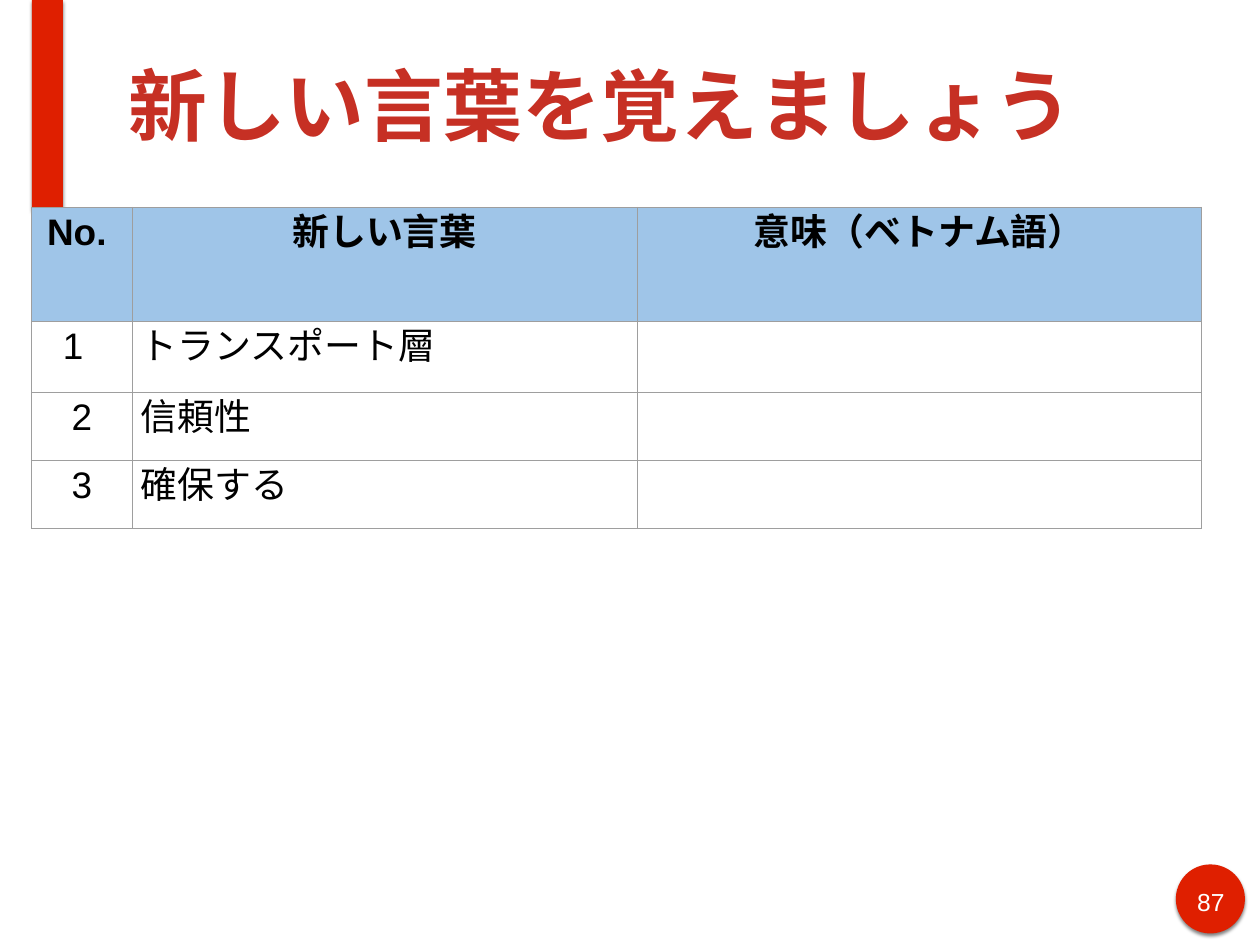
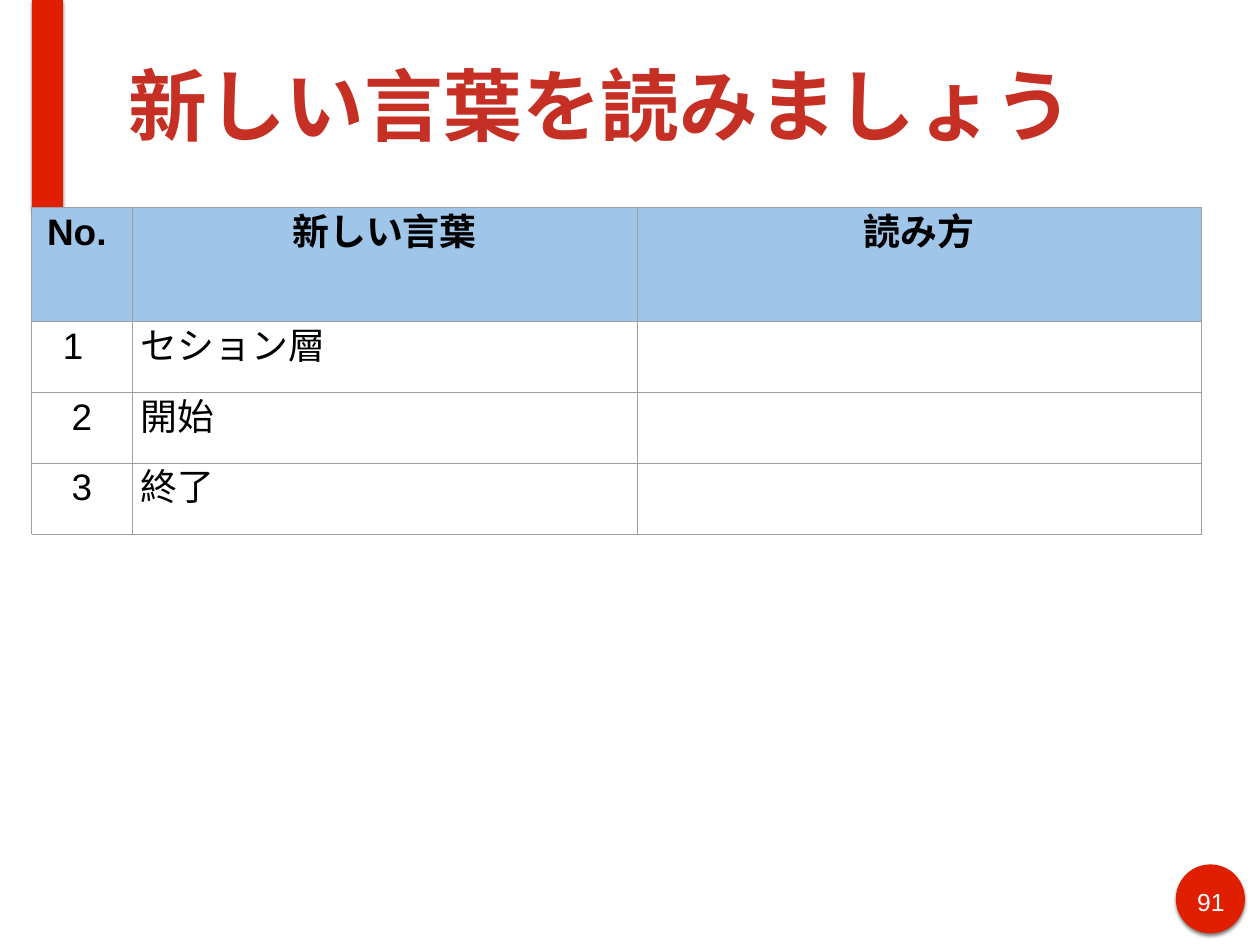
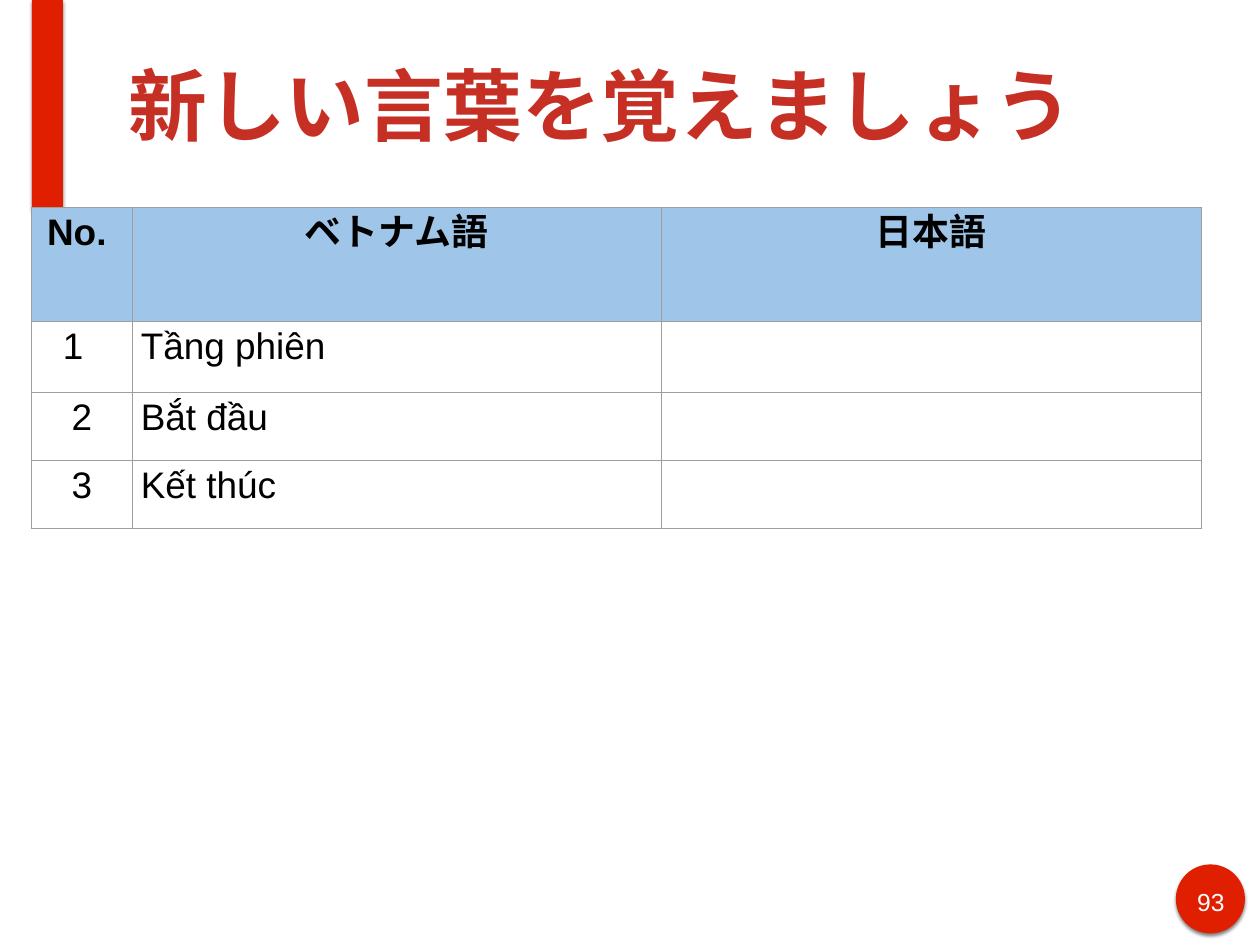
import pptx
import pptx.dml.color
import pptx.enum.shapes
import pptx.enum.text
import pptx.oxml
import pptx.oxml.ns
import pptx.util

PX = 9144  # 100 px to the inch
FONT = "Arial"
RED, TITLE_RED, HEADER_BLUE = "DF1F00", "C63024", "9FC5E8"
BLACK, WHITE, BORDER_GRAY = "000000", "FFFFFF", "9E9E9E"
NAMESPACE = pptx.oxml.ns.nsdecls("a")
LEFT = pptx.enum.text.PP_ALIGN.LEFT
CENTER = pptx.enum.text.PP_ALIGN.CENTER

SHADOW = (
    f'<a:effectLst {NAMESPACE}><a:outerShdw blurRad="38100" dist="25400" dir="5400000" rotWithShape="0">'
    f'<a:srgbClr val="{BLACK}"><a:alpha val="50000"/></a:srgbClr></a:outerShdw></a:effectLst>'
)


def rgb(color):
    return pptx.dml.color.RGBColor.from_string(color)


def write_text(text_frame, text, size=30, color=BLACK, bold=False, align=LEFT, margin=10):
    text_frame.margin_left = text_frame.margin_right = margin * PX
    text_frame.margin_top = text_frame.margin_bottom = margin * PX
    text_frame.word_wrap = True
    paragraph = text_frame.paragraphs[0]
    paragraph.alignment = align
    run = paragraph.add_run()
    run.text = text
    run.font.name = FONT
    run.font.size = pptx.util.Pt(size)
    run.font.bold = bold
    run.font.color.rgb = rgb(color)
    # East Asian text names its font separately
    run.font._element.append(pptx.oxml.parse_xml(f'<a:ea {NAMESPACE} typeface="{FONT}"/>'))
    return paragraph


lessons = [
    {
        "title": "新しい言葉を覚えましょう", "number": "87",
        "headings": ["No. ", "新しい言葉", "意味（ベトナム語）"],
        "words": ["トランスポート層", "信頼性", "確保する"],
        "columns": [113, 570, 637], "rows": [129, 80, 77, 77],
    },
    {
        "title": "新しい言葉を読みましょう", "number": "91",
        "headings": ["No. ", "新しい言葉", "読み方"],
        "words": ["セション層", "開始", "終了"],
        "columns": [113, 570, 637], "rows": [129, 80, 80, 80],
    },
    {
        "title": "新しい言葉を覚えましょう", "number": "93",
        "headings": ["No. ", "ベトナム語", "日本語"],
        "words": ["Tầng phiên", "Bắt đầu", "Kết thúc"],
        "columns": [113, 597, 610], "rows": [129, 80, 77, 77],
    },
]

presentation = pptx.Presentation()
presentation.slide_width = 1422 * PX
presentation.slide_height = 1067 * PX
layout = presentation.slide_layouts.get_by_name("Title Only")

# Shared title position
layout_title = layout.placeholders[0]
layout_title.left, layout_title.top = 139 * PX, 12 * PX
layout_title.width, layout_title.height = 1214 * PX, 212 * PX

slides = [presentation.slides.add_slide(layout) for lesson in lessons]

# Shared number disc and title band, moved to the layout
SHAPES = pptx.enum.shapes.MSO_SHAPE
for kind, left, top, width, height in [
    (SHAPES.OVAL, 1327, 976, 78, 78),
    (SHAPES.RECTANGLE, 36, 0, 35, 236),
]:
    shape = slides[0].shapes.add_shape(kind, left * PX, top * PX, width * PX, height * PX)
    shape.fill.solid()
    shape.fill.fore_color.rgb = rgb(RED)
    shape.line.fill.background()
    shape.element.spPr.append(pptx.oxml.parse_xml(SHADOW))
    layout.shapes.element.append(shape.element)

for slide, lesson in zip(slides, lessons):
    # Title
    title_frame = slide.shapes.title.text_frame
    write_text(title_frame, lesson["title"], size=64, color=TITLE_RED, bold=True, margin=6)
    title_frame.vertical_anchor = pptx.enum.text.MSO_ANCHOR.MIDDLE
    title_frame.auto_size = pptx.enum.text.MSO_AUTO_SIZE.NONE

    # Slide number
    number_box = slide.shapes.add_textbox(1342 * PX, 995 * PX, 49 * PX, 39 * PX)
    write_text(number_box.text_frame, lesson["number"], size=20, color=WHITE, align=CENTER, margin=6)

    # Vocabulary table
    columns, rows = lesson["columns"], lesson["rows"]
    table = slide.shapes.add_table(
        len(rows), len(columns), 36 * PX, 234 * PX, sum(columns) * PX, sum(rows) * PX
    ).table
    table.first_row = table.horz_banding = False
    for column, width in zip(table.columns, columns):
        column.width = width * PX
    for row, height in zip(table.rows, rows):
        row.height = height * PX

    for cell, heading in zip(table.rows[0].cells, lesson["headings"]):
        write_text(cell.text_frame, heading, bold=True, align=CENTER)
    for number, word in enumerate(lesson["words"], start=1):
        paragraph = write_text(table.cell(number, 0).text_frame, str(number), align=CENTER)
        write_text(table.cell(number, 1).text_frame, word)
        if number == 1:
            # The first number hangs from an indent
            paragraph.alignment = LEFT
            properties = paragraph._p.get_or_add_pPr()
            properties.set("marL", str(50 * PX))
            properties.set("indent", str(-25 * PX))

    # Cell borders and fills
    for index, cell in enumerate(table.iter_cells()):
        cell_properties = cell._tc.get_or_add_tcPr()
        for side in ("lnL", "lnR", "lnT", "lnB"):
            cell_properties.append(pptx.oxml.parse_xml(
                f'<a:{side} {NAMESPACE} w="9525"><a:solidFill><a:srgbClr val="{BORDER_GRAY}"/>'
                f'</a:solidFill></a:{side}>'
            ))
        if index < len(columns):
            cell.fill.solid()
            cell.fill.fore_color.rgb = rgb(HEADER_BLUE)
        else:
            cell.fill.background()

presentation.save("out.pptx")
